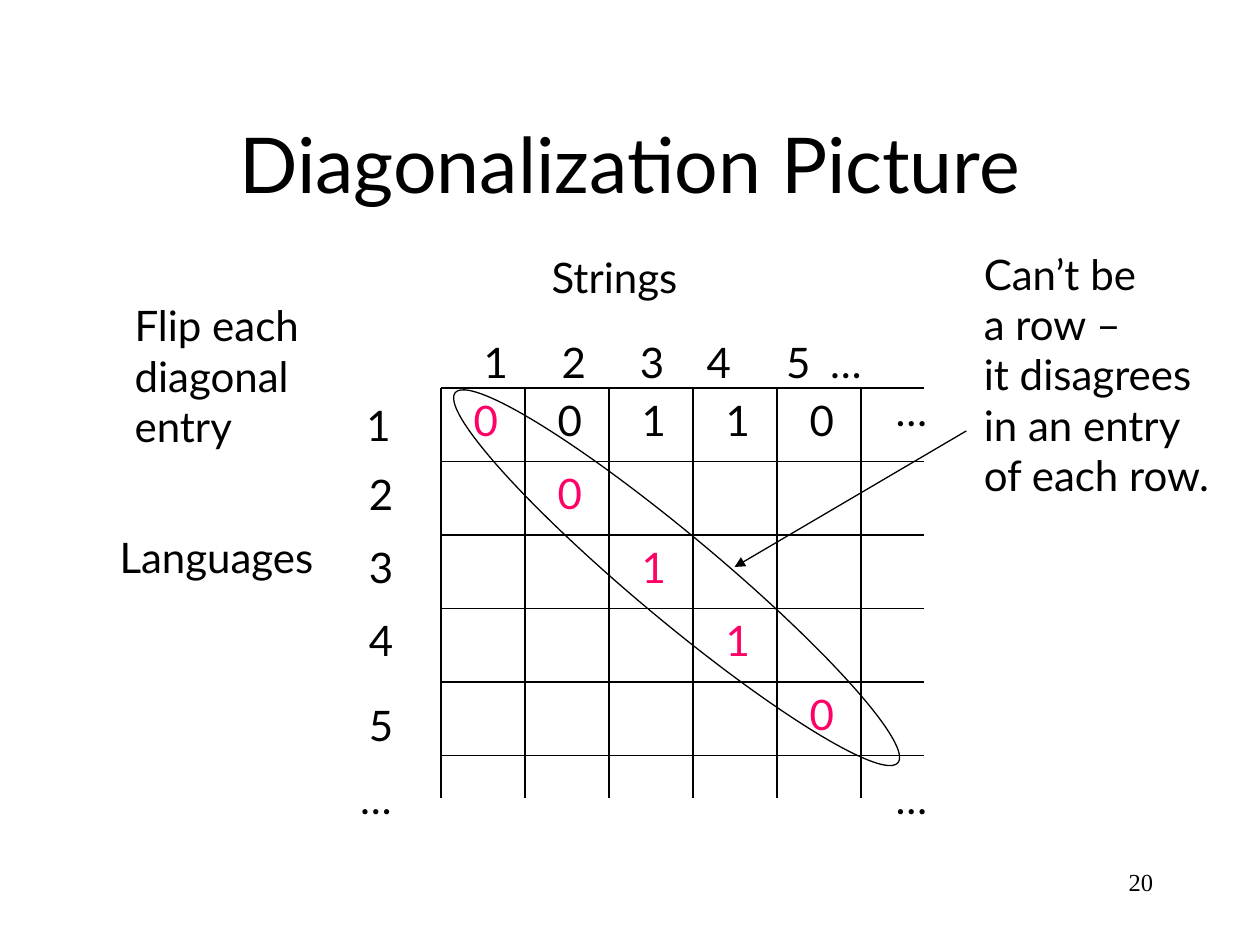
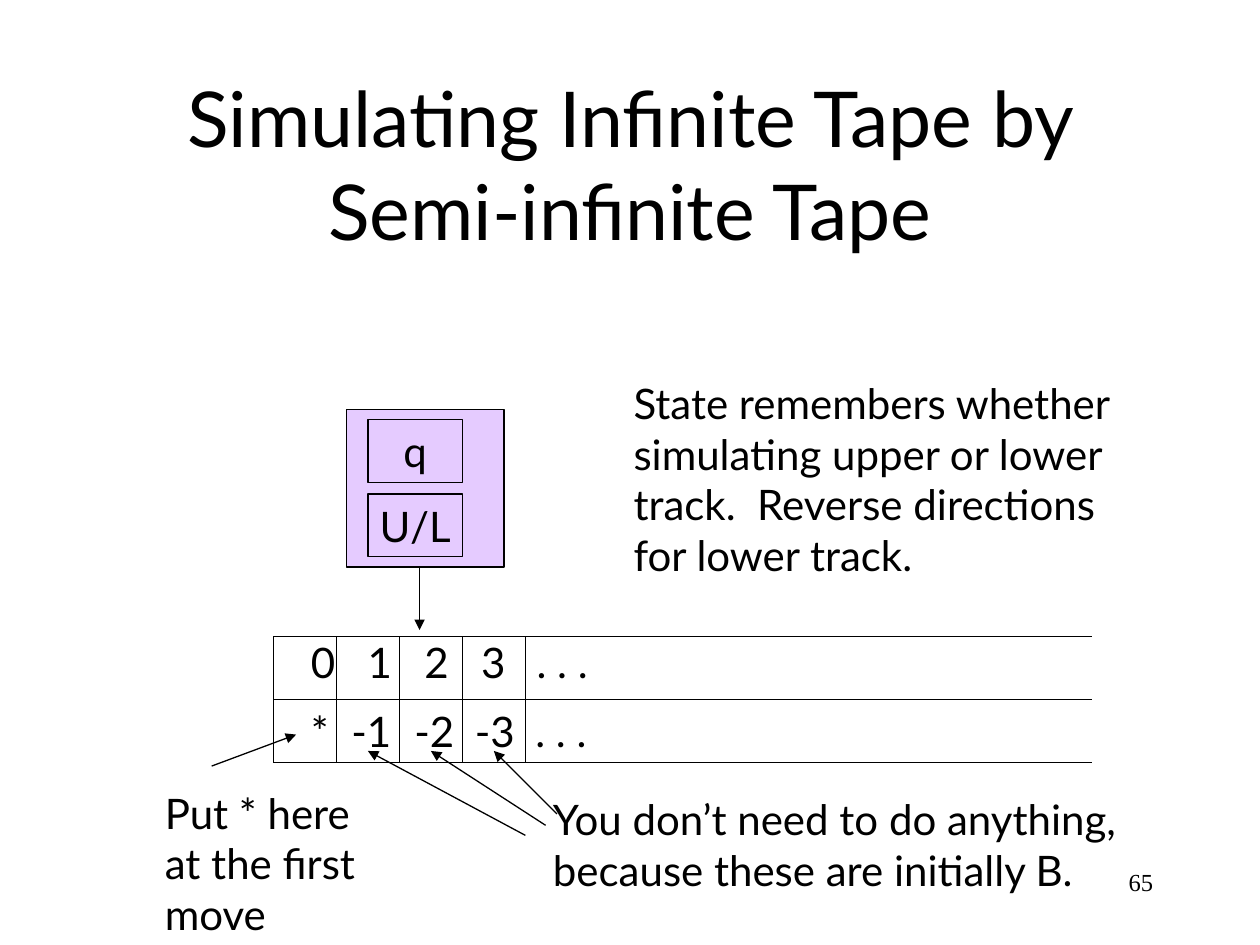
from lxml.etree import SubElement
from pptx import Presentation
from pptx.dml.color import RGBColor
from pptx.enum.shapes import MSO_CONNECTOR as Connector, MSO_SHAPE as Shape
from pptx.enum.text import MSO_ANCHOR as Anchor, MSO_AUTO_SIZE as AutoSize, PP_ALIGN as Align
from pptx.oxml.ns import qn
from pptx.util import Inches, Pt

BLACK, PINK, LILAC = "000000", "FF0066", "CC99FF"
BODY_FONT, NUMBER_FONT = "Lato", "Times New Roman"
TITLE_BOX = (0.75, 0.67, 8.5, 1.25)
NUMBER_BOX = (7.17, 6.83, 2.08, 0.5)
DIGIT_SIZE = (0.39, 0.5)
DOTS_SIZE = (0.46, 0.5)

MATRIX_LEFT, MATRIX_TOP, MATRIX_RIGHT, MATRIX_BOTTOM = 3.5, 3.08, 7.33, 6.33
MATRIX_COLUMN, MATRIX_ROW, MATRIX_COUNT = 2 / 3, 7 / 12, 5
FIRST_ROW = "00110"
DIAGONAL = "00110"
ROW_LABELS = [("1", 2.81, 3.12), ("2", 2.83, 3.67), ("3", 2.83, 4.25),
              ("4", 2.83, 4.83), ("5", 2.83, 5.5)]
DOTS = [(2.76, 6.08), (7.01, 3), (7.01, 6.08)]
STRING_NUMBERS = ("1\t2\t3\t4\t5\t…", (3.74, 2.62, 3.23, 0.5), (0.62, 1.24, 1.77, 2.4, 2.75))
MATRIX_NOTES = [
    ("Strings", (4.28, 1.95, 1.3, 0.5)),
    ("Languages", (0.85, 4.17, 1.92, 0.5)),
    ("Flip each\ndiagonal\nentry", (0.97, 2.33, 1.58, 1.3)),
    ("Can’t be\na row –\nit disagrees\nin an entry\nof each row.", (7.71, 1.92, 2.12, 2.1)),
]

TAPE_LEFT, TAPE_TOP, TAPE_RIGHT, TAPE_CELL = 2.17, 5.05, 8.67, 0.5
TRACKS = [
    ("0\t1\t2\t3\t. . .", (2.37, 5, 2.6, 0.5), (0.45, 0.9, 1.35, 1.79)),
    ("*\t-1\t-2\t-3\t. . .", (2.37, 5.55, 2.6, 0.5), (0.32, 0.82, 1.3, 1.78)),
]
STATE_PARTS = [("q", 3.33), ("U/L", 3.92)]
TAPE_NOTES = [
    ("State remembers whether\nsimulating upper or lower\ntrack.  Reverse directions\nfor lower track.",
     (4.93, 2.95, 4.31, 1.7)),
    ("Put * here\nat the first\nmove", (1.21, 6.2, 1.81, 1.3)),
    ("You don’t need to do anything,\nbecause these are initially B.", (4.29, 6.25, 5.01, 0.9)),
]
TAPE_ARROWS = [
    ((3.33, 4.5), (3.33, 5)),
    ((1.68, 6.08), (2.35, 5.83)),
    ((4.17, 6.63), (2.92, 5.96)),
    ((4.33, 6.55), (3.42, 5.96)),
    ((4.42, 6.46), (3.92, 5.96)),
]


def color(value):
    return RGBColor.from_string(value)


def inches(values):
    return [Inches(value) for value in values]


def write(frame, text, size=24, font=BODY_FONT, ink=BLACK, align=Align.LEFT,
          anchor=Anchor.TOP, wrap=True, tabs=()):
    frame.word_wrap = wrap
    frame.auto_size = AutoSize.NONE
    frame.vertical_anchor = anchor
    for index, line in enumerate(text.split("\n")):
        paragraph = frame.add_paragraph() if index else frame.paragraphs[0]
        paragraph.alignment = align
        if tabs:
            tab_list = SubElement(paragraph._p.get_or_add_pPr(), qn("a:tabLst"))
            for position in tabs:
                SubElement(tab_list, qn("a:tab"), pos=str(Inches(position)), algn="l")
        run = paragraph.add_run()
        run.text = line
        run.font.size = Pt(size)
        run.font.name = font
        run.font.color.rgb = color(ink)


def add_text(slide, text, box, **style):
    write(slide.shapes.add_textbox(*inches(box)).text_frame, text, **style)


def add_line(slide, start, end, arrow=False):
    line = slide.shapes.add_connector(Connector.STRAIGHT, *inches(start + end))
    line.line.color.rgb = color(BLACK)
    line.line.width = Pt(0.75)
    if arrow:
        SubElement(line.line._get_or_add_ln(), qn("a:tailEnd"), type="triangle")
    SubElement(line._element.spPr, qn("a:effectLst"))


def add_outline(slide, kind, box, fill=None, opacity=100):
    shape = slide.shapes.add_shape(kind, *inches(box))
    shape.shadow.inherit = False
    shape.line.color.rgb = color(BLACK)
    shape.line.width = Pt(0.75)
    if fill:
        shape.fill.solid()
        shape.fill.fore_color.rgb = color(fill)
        tone = shape._element.spPr.find(qn("a:solidFill"))[0]
        SubElement(tone, qn("a:alpha"), val=str(opacity * 1000))
    else:
        shape.fill.background()
    return shape


def add_slide(presentation, title, number):
    slide = presentation.slides.add_slide(presentation.slide_layouts[5])
    heading = slide.shapes.title
    heading.left, heading.top, heading.width, heading.height = inches(TITLE_BOX)
    write(heading.text_frame, title, size=44, align=Align.CENTER, anchor=Anchor.MIDDLE)
    add_text(slide, number, NUMBER_BOX, size=14, font=NUMBER_FONT, align=Align.RIGHT)
    return slide


def build_diagonalization(presentation):
    slide = add_slide(presentation, "Diagonalization Picture", "20")
    for index in range(MATRIX_COUNT + 1):
        x = MATRIX_LEFT + index * MATRIX_COLUMN
        y = MATRIX_TOP + index * MATRIX_ROW
        add_line(slide, (x, MATRIX_TOP), (x, MATRIX_BOTTOM))
        add_line(slide, (MATRIX_LEFT, y), (MATRIX_RIGHT, y))

    entries = [(0, column, digit, BLACK) for column, digit in enumerate(FIRST_ROW) if column]
    entries += [(index, index, digit, PINK) for index, digit in enumerate(DIAGONAL)]
    for row, column, digit, ink in entries:
        x = MATRIX_LEFT + 0.16 + column * MATRIX_COLUMN
        y = MATRIX_TOP + row * MATRIX_ROW
        add_text(slide, digit, (x, y) + DIGIT_SIZE, ink=ink)

    for label, x, y in ROW_LABELS:
        add_text(slide, label, (x, y) + DIGIT_SIZE)
    for position in DOTS:
        add_text(slide, "…", position + DOTS_SIZE)
    numbers, box, tabs = STRING_NUMBERS
    add_text(slide, numbers, box, tabs=tabs)
    for note, box in MATRIX_NOTES:
        add_text(slide, note, box)

    add_outline(slide, Shape.OVAL, (3.08, 4.25, 4.58, 0.67)).rotation = 39.9
    add_line(slide, (7.67, 3.42), (5.83, 4.5), arrow=True)


def build_tape(presentation):
    slide = add_slide(presentation, "Simulating Infinite Tape by Semi-infinite Tape", "65")
    for index in range(len(TRACKS) + 1):
        y = TAPE_TOP + index * TAPE_CELL
        add_line(slide, (TAPE_LEFT, y), (TAPE_RIGHT, y))
    for index in range(5):
        x = TAPE_LEFT + index * TAPE_CELL
        add_line(slide, (x, TAPE_TOP), (x, TAPE_TOP + len(TRACKS) * TAPE_CELL))
    for track, box, tabs in TRACKS:
        add_text(slide, track, box, tabs=tabs)

    add_outline(slide, Shape.RECTANGLE, (2.75, 3.25, 1.25, 1.25), fill=LILAC, opacity=50)
    for part, y in STATE_PARTS:
        shape = add_outline(slide, Shape.RECTANGLE, (2.92, y, 0.75, 0.5))
        write(shape.text_frame, part, align=Align.CENTER, anchor=Anchor.MIDDLE, wrap=False)

    for note, box in TAPE_NOTES:
        add_text(slide, note, box)
    for start, end in TAPE_ARROWS:
        add_line(slide, start, end, arrow=True)


def main():
    presentation = Presentation()
    presentation.slide_width, presentation.slide_height = inches((10, 7.5))
    build_diagonalization(presentation)
    build_tape(presentation)
    presentation.save("out.pptx")


if __name__ == "__main__":
    main()
